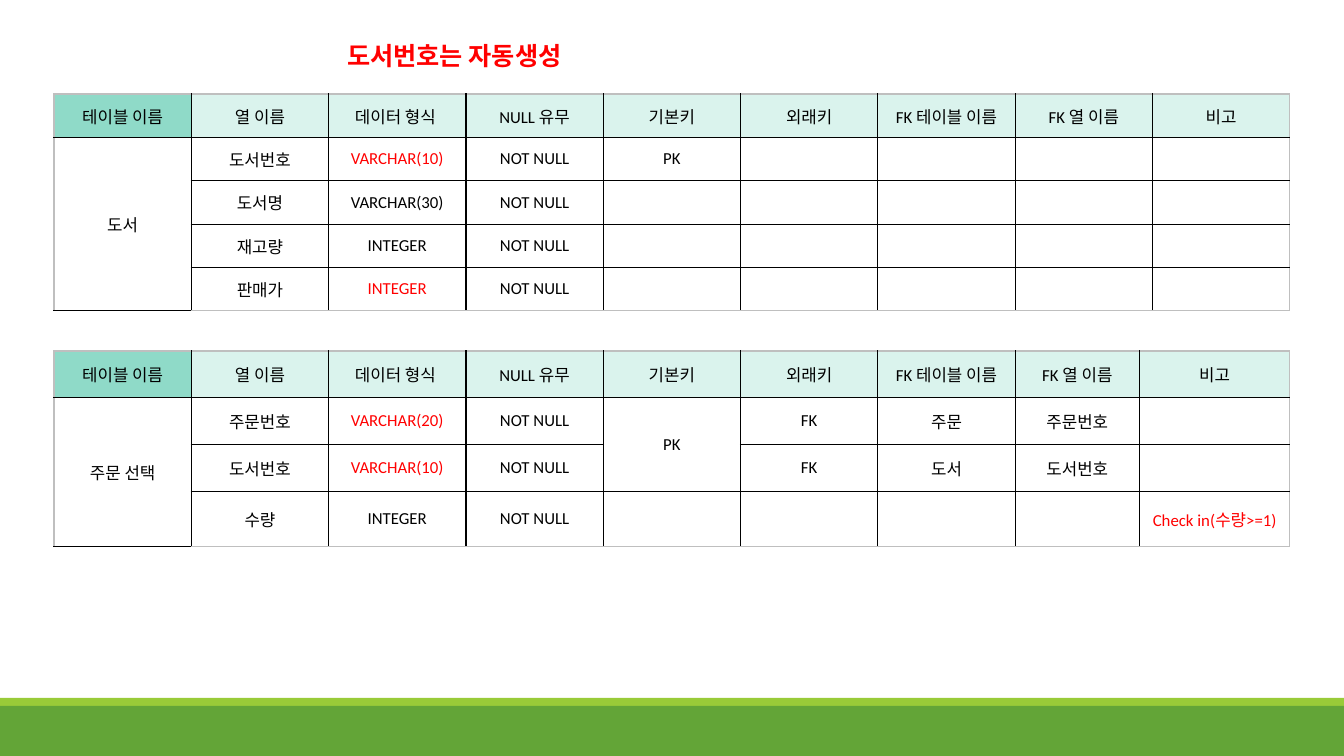
from lxml import etree
from pptx import Presentation
from pptx.dml.color import RGBColor
from pptx.enum.shapes import MSO_SHAPE
from pptx.enum.text import MSO_ANCHOR, MSO_AUTO_SIZE, PP_ALIGN
from pptx.oxml.ns import qn
from pptx.util import Emu, Pt

PIXEL = 914400 / 100.8
SLIDE_WIDTH, SLIDE_HEIGHT = 1344, 756
FONT = "Calibri"
RECTANGLE = MSO_SHAPE.RECTANGLE
LEFT, CENTER = PP_ALIGN.LEFT, PP_ALIGN.CENTER
TOP, MIDDLE = MSO_ANCHOR.TOP, MSO_ANCHOR.MIDDLE
NO_AUTOFIT = MSO_AUTO_SIZE.NONE

BLACK = RGBColor(0x00, 0x00, 0x00)
WHITE = RGBColor(0xFF, 0xFF, 0xFF)
RED = RGBColor(0xFF, 0x00, 0x00)
TEAL = RGBColor(0x8F, 0xDA, 0xC8)
PALE_TEAL = RGBColor(0xDA, 0xF3, 0xED)
GREEN = RGBColor(0x63, 0xA5, 0x37)
LIME = RGBColor(0x99, 0xCB, 0x38)
FRAME_GRAY = RGBColor(0xBF, 0xBF, 0xBF)

HEADERS = ["테이블 이름", "열 이름", "데이터 형식 ", "NULL 유무", "기본키",
           "외래키", "FK 테이블 이름", "FK 열 이름", "비고"]
BOOK_ROWS = [
    ["도서", "도서번호", "VARCHAR(10)", "NOT NULL", "PK"],
    ["", "도서명", "VARCHAR(30)", "NOT NULL"],
    ["", "재고량", "INTEGER", "NOT NULL"],
    ["", "판매가", "INTEGER", "NOT NULL"],
]
BOOK_RED = {(1, 2), (4, 2)}
BOOK_MERGES = [((1, 0), (4, 0))]
ORDER_ROWS = [
    ["주문 선택", "주문번호", "VARCHAR(20)", "NOT NULL", "PK", "FK", "주문", "주문번호"],
    ["", "도서번호", "VARCHAR(10)", "NOT NULL", "", "FK", "도서", "도서번호"],
    ["", "수량", "INTEGER", "NOT NULL", "", "", "", "", "Check in(수량>=1)"],
]
ORDER_RED = {(1, 2), (2, 2), (3, 8)}
ORDER_MERGES = [((1, 0), (3, 0)), ((1, 4), (2, 4))]


def px(length):
    return Emu(round(length * PIXEL))


def format_paragraph(paragraph, size, color, alignment, bold=False):
    paragraph.alignment = alignment
    for run in paragraph.runs:
        run.font.name = FONT
        run.font.size = Pt(size)
        run.font.bold = bold
        run.font.color.rgb = color


def set_borders(cell, colors):
    properties = cell._tc.get_or_add_tcPr()
    for index, (side, color) in enumerate(colors.items()):
        line = etree.Element(qn(f"a:ln{side}"), w=str(Pt(1)))
        fill = etree.SubElement(line, qn("a:solidFill"))
        etree.SubElement(fill, qn("a:srgbClr"), val=str(color))
        properties.insert(index, line)


def add_title(slide, box):
    title = slide.shapes.title
    title.left, title.top, title.width, title.height = map(px, box)
    text_frame = title.text_frame
    text_frame.text = "도서번호는 자동생성"
    text_frame.auto_size = NO_AUTOFIT
    text_frame.vertical_anchor = TOP
    format_paragraph(text_frame.paragraphs[0], 18, RED, LEFT, bold=True)


def add_schema_table(slide, box, body_rows, red_cells, merges, last_divider_shift=0):
    left, top, width, height = box
    rows = [HEADERS] + body_rows
    row_count, column_count = len(rows), len(HEADERS)
    frame = slide.shapes.add_table(row_count, column_count, *map(px, box))
    table = frame.table
    for column in table.columns:
        column.width = px(width / column_count)
    table.columns[column_count - 2].width = px(width / column_count - last_divider_shift)
    table.columns[column_count - 1].width = px(width / column_count + last_divider_shift)
    for row in table.rows:
        row.height = px(height / row_count)

    for row_index, texts in enumerate(rows):
        for column_index in range(column_count):
            cell = table.cell(row_index, column_index)
            cell.vertical_anchor = MIDDLE
            cell.fill.solid()
            header_color = TEAL if column_index == 0 else PALE_TEAL
            cell.fill.fore_color.rgb = header_color if row_index == 0 else WHITE
            set_borders(cell, {
                "L": FRAME_GRAY if column_index == 0 else BLACK,
                "R": FRAME_GRAY if column_index == column_count - 1 else BLACK,
                "T": FRAME_GRAY if row_index == 0 else BLACK,
                "B": FRAME_GRAY if row_index == row_count - 1 else BLACK,
            })
            if column_index < len(texts) and texts[column_index]:
                cell.text_frame.text = texts[column_index]
                color = RED if (row_index, column_index) in red_cells else BLACK
                format_paragraph(cell.text_frame.paragraphs[0], 12, color, CENTER)

    for first, last in merges:
        table.cell(*first).merge(table.cell(*last))


def add_footer(slide, box):
    left, top, width, height = box
    stripe_height = 8
    bands = [(top, stripe_height, LIME),
             (top + stripe_height, height - stripe_height, GREEN)]
    for band_top, band_height, color in bands:
        band = slide.shapes.add_shape(
            RECTANGLE, px(left), px(band_top), px(width), px(band_height))
        band.shadow.inherit = False
        band.fill.solid()
        band.fill.fore_color.rgb = color
        band.line.fill.background()


def add_schema_slide(presentation):
    slide = presentation.slides.add_slide(presentation.slide_layouts[5])
    add_footer(slide, (0, 698, SLIDE_WIDTH, 58))
    add_schema_table(slide, (54, 94, 1236, 217), BOOK_ROWS, BOOK_RED, BOOK_MERGES)
    add_schema_table(slide, (54, 351, 1236, 187), ORDER_ROWS, ORDER_RED,
                     ORDER_MERGES, last_divider_shift=13)
    add_title(slide, (337, 35, 433, 40))


presentation = Presentation()
presentation.slide_width = px(SLIDE_WIDTH)
presentation.slide_height = px(SLIDE_HEIGHT)
add_schema_slide(presentation)
presentation.save("out.pptx")
